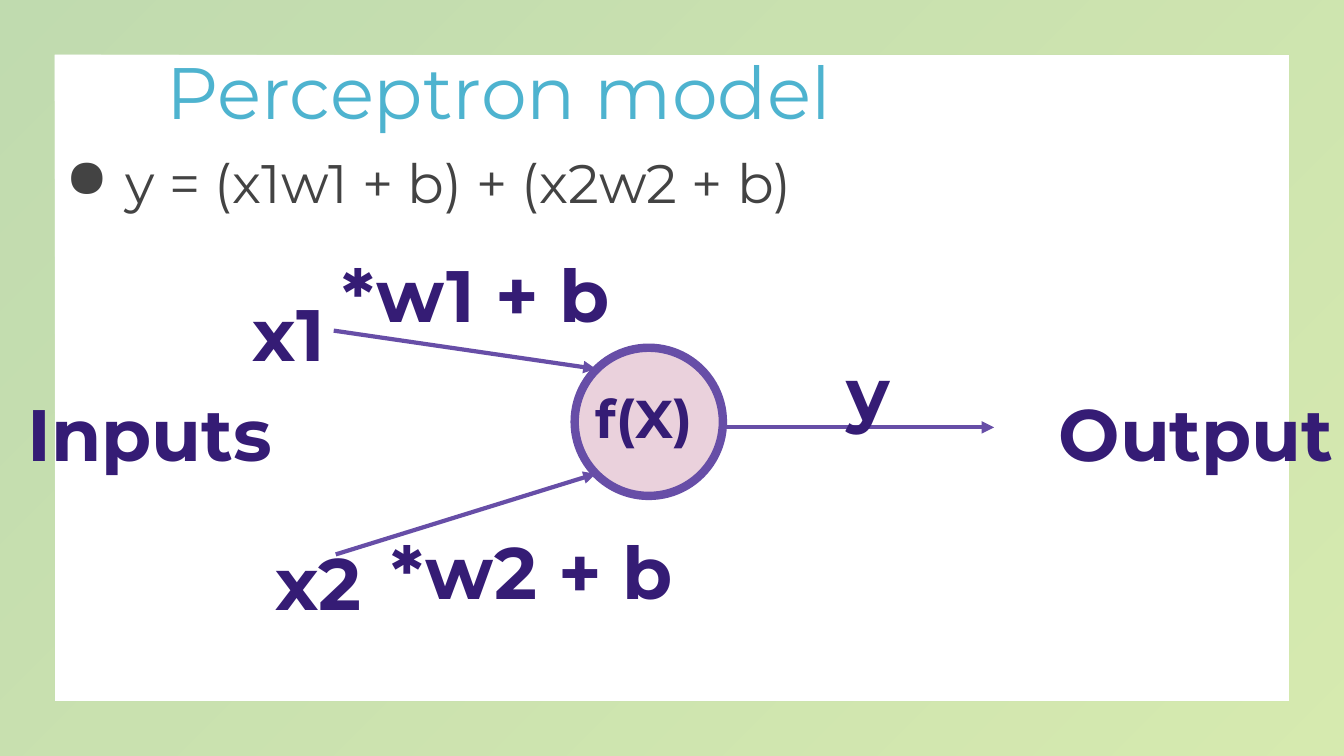
from dataclasses import dataclass

from lxml.etree import SubElement
from pptx import Presentation
from pptx.dml.color import RGBColor
from pptx.enum.shapes import MSO_CONNECTOR, MSO_SHAPE
from pptx.enum.text import MSO_ANCHOR
from pptx.oxml.ns import qn
from pptx.util import Inches, Pt


@dataclass(frozen=True)
class Theme:
    """Colours and type sizes of the slide."""
    font: str = "Montserrat"
    title: str = "4EB3CF"
    body: str = "434343"
    label: str = "351C75"
    line: str = "674EA7"
    neuron: str = "EAD1DC"
    frame: tuple = ("63A537", "99CB38")
    frame_alpha: int = 40
    large: float = 52
    formula: float = 38.7
    function: float = 38


THEME = Theme()


def color(value):
    """Turn a hex value into a colour."""
    return RGBColor.from_string(value)


def add_text(slide, text, box, size, text_color, bold=False, spacing=0.9):
    """Write one line of text in a box and return its paragraph."""
    text_box = slide.shapes.add_textbox(*map(Inches, box))
    frame = text_box.text_frame
    frame.word_wrap = True
    frame.vertical_anchor = MSO_ANCHOR.TOP
    frame.margin_left = frame.margin_right = Inches(0.13)
    frame.margin_top = frame.margin_bottom = Inches(0.13)
    paragraph = frame.paragraphs[0]
    paragraph.text = text
    paragraph.line_spacing = spacing
    font = paragraph.font
    font.name, font.size, font.bold = THEME.font, Pt(size), bold
    font.color.rgb = color(text_color)
    return paragraph


def add_border(slide, box):
    """Draw the translucent gradient frame around the slide."""
    border = slide.shapes.add_shape(MSO_SHAPE.FRAME, *map(Inches, box))
    border.shadow.inherit = False
    border.adjustments[0] = 0.072
    border.line.fill.background()
    border.fill.gradient()
    border.fill.gradient_angle = 315
    for stop, position, value in zip(border.fill.gradient_stops, (0, 1), THEME.frame):
        stop.position = position
        stop.color.rgb = color(value)
    for tint in border.element.spPr.iter(qn("a:srgbClr")):
        SubElement(tint, qn("a:alpha"), val=str(THEME.frame_alpha * 1000))


def add_heading(slide, box):
    """Place the title and the bulleted formula below it."""
    left, top, width, height = box
    add_text(slide, "Perceptron model", (left + 1.07, top, 11.36, 0.84),
             THEME.large, THEME.title)
    formula = add_text(slide, "y = (x1w1 + b) + (x2w2 + b)",
                       (left, top + 0.92, width, height - 0.92),
                       THEME.formula, THEME.body, spacing=1.0)
    properties = formula._p.get_or_add_pPr()
    properties.set("marL", str(Inches(0.67)))
    properties.set("indent", str(Inches(-0.6)))
    bullet_color = SubElement(properties, qn("a:buClr"))
    SubElement(bullet_color, qn("a:srgbClr"), val=THEME.body)
    SubElement(properties, qn("a:buChar"), char="●")
    properties.append(properties.find(qn("a:defRPr")))


def add_arrow(slide, start, end):
    """Draw an arrow from start to end."""
    arrow = slide.shapes.add_connector(
        MSO_CONNECTOR.STRAIGHT, *map(Inches, (*start, *end)))
    arrow.line.color.rgb = color(THEME.line)
    arrow.line.width = Pt(3)
    SubElement(arrow.line._get_or_add_ln(), qn("a:tailEnd"), type="triangle")
    SubElement(arrow.element.spPr, qn("a:effectLst"))


def add_network(slide, box):
    """Draw the neuron with its inputs, weights and output."""
    left, top, width, height = box
    neuron = slide.shapes.add_shape(
        MSO_SHAPE.OVAL, Inches(left + 5.56), Inches(top + 1), Inches(1.47), Inches(1.47))
    neuron.shadow.inherit = False
    neuron.fill.solid()
    neuron.fill.fore_color.rgb = color(THEME.neuron)
    neuron.line.color.rgb = color(THEME.line)
    neuron.line.width = Pt(6)

    arrows = (
        ((3.17, 0.83), (5.77, 1.21)),
        ((3.19, 3.05), (5.77, 2.25)),
        ((7.02, 1.79), (9.72, 1.79)),
    )
    for start, end in arrows:
        add_arrow(slide, *((left + x, top + y) for x, y in (start, end)))

    labels = (
        ("Inputs", 0, 1.37, 3.11, THEME.large),
        ("Output", width - 3.11, 1.37, 3.11, THEME.large),
        ("x1", 2.23, 0.38, 1.3, THEME.large),
        ("y", 8.13, 0.97, 1.3, THEME.large),
        ("f(X)", 5.64, 1.31, 1.3, THEME.function),
        ("x2", 2.46, 2.85, 1.3, THEME.large),
        ("*w1 + b", 3.13, 0, 5, THEME.large),
        ("*w2 + b", 3.61, 2.74, 3.68, THEME.large),
    )
    for text, x, y, label_width, size in labels:
        add_text(slide, text, (left + x, top + y, label_width, 0.84),
                 size, THEME.label, bold=True)


def main():
    """Build the slide and save it."""
    presentation = Presentation()
    presentation.slide_width = Inches(13.33)
    presentation.slide_height = Inches(7.5)
    slide = presentation.slides.add_slide(presentation.slide_layouts[6])
    add_border(slide, (0, 0, 13.33, 7.5))
    add_heading(slide, (0.45, 0.43, 12.66, 5.9))
    add_network(slide, (0.14, 2.45, 13.34, 3.69))
    presentation.save("out.pptx")


if __name__ == "__main__":
    main()
